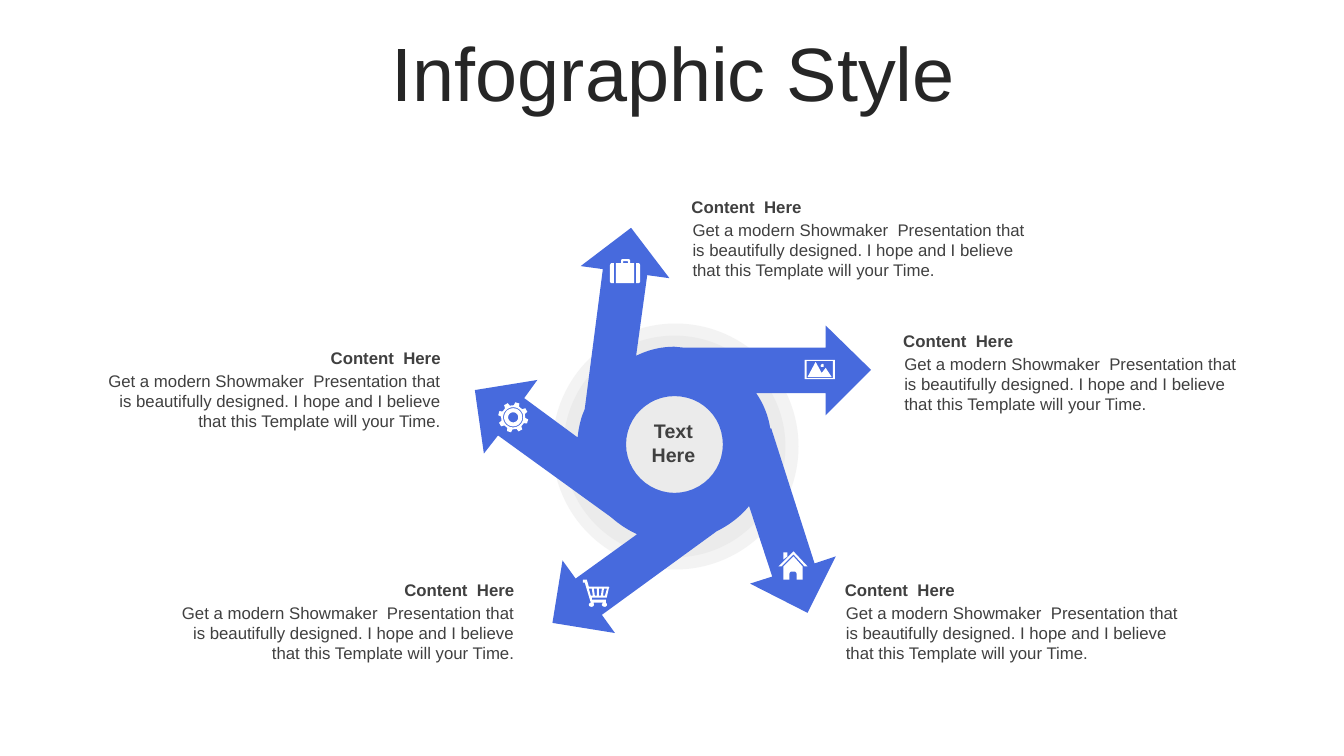
from math import cos, sin, radians
from lxml.etree import SubElement
from pptx import Presentation
from pptx.dml.color import RGBColor
from pptx.enum.shapes import MSO_SHAPE
from pptx.enum.text import MSO_ANCHOR, MSO_AUTO_SIZE, PP_ALIGN
from pptx.oxml.ns import qn
from pptx.util import Inches, Pt

deck = Presentation()
deck.slide_width, deck.slide_height = Inches(13.33), Inches(7.5)
slide = deck.slides.add_slide(deck.slide_layouts[5])
shapes = slide.shapes
hue = RGBColor.from_string


def write(shape, lines, align, anchor, font):
    """Fill a shape's text frame, one paragraph per line."""
    frame = shape.text_frame
    frame.word_wrap = True
    frame.vertical_anchor = anchor
    frame.text = "\n".join(lines)
    for para in frame.paragraphs:
        para.alignment = align
        para.font.color.rgb = hue(font["color"])
        for key, value in font["look"].items():
            setattr(para.font, key, value)
    return frame


def draw(outline, color):
    """Draw contours split by Z; C starts a curve with three points."""
    pen = None
    for part in outline.split("Z"):
        marks, dots = iter(part.split()), []
        for mark in marks:
            if mark != "C":
                dots.append(tuple(float(n) for n in mark.split(",")))
                continue
            a = dots[-1]
            b, c, d = [tuple(float(n) for n in next(marks).split(",")) for _ in range(3)]
            for step in range(1, 13):
                t = step / 12
                u = 1 - t
                dots.append(tuple(u**3 * p + 3 * u * u * t * q + 3 * u * t * t * r + t**3 * s
                                  for p, q, r, s in zip(a, b, c, d)))
        spots = [(Inches(x), Inches(y)) for x, y in dots]
        if pen is None:
            pen = shapes.build_freeform(*spots[0], scale=1.0)
        else:
            pen.move_to(*spots[0])
        pen.add_line_segments(spots[1:], close=True)
    shape = pen.convert_to_shape()
    shape.shadow.inherit = False
    shape.fill.solid()
    shape.fill.fore_color.rgb = hue(color)
    shape.line.fill.background()


# Text styles
base = {"name": "Arial", "size": Pt(12), "bold": False}
title_font = {"color": "262626", "look": base | {"size": Pt(54)}}
head_font = {"color": "404040", "look": base | {"bold": True}}
body_font = {"color": "404040", "look": base}
hub_font = {"color": "404040", "look": base | {"size": Pt(14), "bold": True}}

# Title
title = shapes.title
title.left, title.top = Inches(0.35), Inches(0.37)
title.width, title.height = Inches(12.66), Inches(0.79)
frame = write(title, ["Infographic Style"], PP_ALIGN.CENTER, MSO_ANCHOR.MIDDLE, title_font)
frame.auto_size = MSO_AUTO_SIZE.NONE
frame.paragraphs[0].line_spacing = 0.9

# Pale discs behind the wheel
for left, top, size in [(5.48, 3.21, 2.44), (5.59, 3.33, 2.2)]:
    disc = shapes.add_shape(MSO_SHAPE.OVAL, Inches(left), Inches(top), Inches(size), Inches(size))
    disc.shadow.inherit = False
    disc.fill.solid()
    disc.fill.fore_color.rgb = hue("D9D9D9")
    disc.line.fill.background()
    tint = disc.fill._xPr.find(qn("a:solidFill"))[0]
    SubElement(tint, qn("a:alpha")).set("val", "30000")

# Wheel of five arrows, with a round hole
draw("""6.69,3.93 C 6.43,3.93 6.21,4.14 6.21,4.41 C 6.21,4.67 6.43,4.89 6.69,4.89
    C 6.96,4.89 7.17,4.67 7.17,4.41 C 7.17,4.14 6.96,3.93 6.69,3.93 Z
    6.26,2.26 6.64,2.76 6.42,2.73 6.31,3.53 C 6.43,3.47 6.56,3.44 6.69,3.44
    6.79,3.45 8.19,3.45 8.19,3.23 8.64,3.67 8.19,4.12 8.19,3.9 7.5,3.9
    C 7.57,4 7.62,4.12 7.64,4.25 7.65,4.25 8.08,5.59 8.29,5.52 8.01,6.08
    7.44,5.79 7.66,5.72 7.43,5.02 C 7.34,5.13 7.23,5.21 7.11,5.27
    5.97,6.1 6.1,6.28 5.48,6.18 5.58,5.56 5.71,5.74 6.32,5.3
    C 6.23,5.26 6.14,5.2 6.06,5.13 4.94,4.32 4.8,4.5 4.71,3.87 5.33,3.77
    5.2,3.95 5.73,4.34 C 5.74,4.24 5.76,4.15 5.8,4.06 5.98,2.67 5.76,2.64""", "476ADD")

# Hub label
hub = shapes.add_textbox(Inches(6.21), Inches(4.11), Inches(0.94), Inches(0.57))
write(hub, ["Text", "Here"], PP_ALIGN.CENTER, MSO_ANCHOR.TOP, hub_font)

# Captions: a heading over a body text
body = ("Get a modern Showmaker  Presentation that is beautifully designed. "
        "I hope and I believe that this Template will your Time.")
for left, top, align in [(1.58, 5.7, PP_ALIGN.RIGHT), (0.85, 3.4, PP_ALIGN.RIGHT),
                         (6.76, 1.9, PP_ALIGN.LEFT), (8.86, 3.23, PP_ALIGN.LEFT),
                         (8.28, 5.7, PP_ALIGN.LEFT)]:
    head = shapes.add_textbox(Inches(left), Inches(top), Inches(3.62), Inches(0.3))
    write(head, ["Content  Here"], align, MSO_ANCHOR.MIDDLE, head_font)
    note = shapes.add_textbox(Inches(left + 0.01), Inches(top + 0.23), Inches(3.61), Inches(0.71))
    write(note, [body], align, MSO_ANCHOR.TOP, body_font)

# Icons: cart, house, photo, case
cart = """5.99,5.84 5.98,5.91 6,5.91 6.02,5.84 Z 5.94,5.84 5.94,5.91 5.96,5.91 5.97,5.84 Z
    5.89,5.84 5.9,5.91 5.92,5.91 5.92,5.84 Z 5.84,5.84 5.86,5.91 5.88,5.91 5.87,5.84 Z
    5.82,5.75 5.84,5.82 6.03,5.82 C 6.04,5.82 6.05,5.83 6.04,5.83 6.02,5.92
    C 6.02,5.93 6.01,5.93 6.01,5.93 5.87,5.93 5.87,5.95 6.01,5.95 6.01,5.98
    C 6.01,5.98 6.02,5.99 6.02,6 C 6.02,6.01 6.01,6.02 6,6.02
    C 5.98,6.02 5.97,6.01 5.97,6 C 5.97,5.99 5.98,5.98 5.99,5.98 5.88,5.98
    C 5.89,5.98 5.89,5.99 5.89,6 C 5.89,6.01 5.88,6.02 5.87,6.02
    C 5.85,6.02 5.84,6.01 5.84,6 C 5.84,5.99 5.85,5.98 5.86,5.98
    5.8,5.78 5.78,5.78 5.78,5.75 5.81,5.75"""
house = """7.87,5.52 7.96,5.62 7.96,5.75 7.9,5.75 7.9,5.69 C 7.9,5.68 7.89,5.67 7.88,5.67
    7.85,5.67 C 7.84,5.67 7.83,5.68 7.83,5.69 7.83,5.75 7.77,5.75 7.77,5.62 Z
    7.77,5.48 7.81,5.48 7.81,5.52 7.77,5.55 Z
    7.87,5.47 8.01,5.62 7.98,5.62 7.87,5.5 7.75,5.62 7.72,5.62"""
photo = """8.16,3.61 C 8.17,3.61 8.17,3.62 8.17,3.63 C 8.17,3.64 8.17,3.64 8.16,3.64
    C 8.15,3.64 8.14,3.64 8.14,3.63 C 8.14,3.62 8.15,3.61 8.16,3.61 Z
    8.09,3.59 8.15,3.7 8.19,3.65 8.25,3.74 8.01,3.74 Z
    8,3.58 8,3.75 8.26,3.75 8.26,3.58 Z 7.98,3.57 8.28,3.57 8.28,3.76 7.98,3.76"""
case = """6.31,2.61 6.33,2.61 C 6.34,2.61 6.35,2.62 6.35,2.64 6.35,2.79
    C 6.35,2.8 6.34,2.81 6.33,2.81 6.31,2.81 Z
    6.07,2.61 6.09,2.61 6.09,2.81 6.07,2.81 C 6.06,2.81 6.05,2.8 6.05,2.79
    6.05,2.64 C 6.05,2.62 6.06,2.61 6.07,2.61 Z
    6.19,2.59 C 6.18,2.59 6.18,2.59 6.18,2.6 6.18,2.61 6.23,2.61 6.23,2.6
    C 6.23,2.59 6.22,2.59 6.22,2.59 Z
    6.17,2.57 6.23,2.57 C 6.24,2.57 6.25,2.58 6.25,2.58 6.25,2.61 6.29,2.61
    6.29,2.81 6.11,2.81 6.11,2.61 6.16,2.61 6.16,2.58 C 6.16,2.58 6.17,2.57 6.17,2.57"""

# Gear: eight teeth around three rings
teeth = [(45 * k - 74 + turn, reach) for k in range(8)
         for turn, reach in [(-13, 0.12), (-8, 0.15), (8, 0.15), (13, 0.12)]]
rings = [[(turn, reach) for turn in range(0, 360, 10)] for reach in (0.1, 0.09, 0.05)]
gear = "Z".join(" ".join(f"{5.09 + reach * cos(radians(turn))},{4.14 + reach * sin(radians(turn))}"
                         for turn, reach in loop) for loop in [teeth] + rings)

for icon in (cart, house, photo, case, gear):
    draw(icon, "FFFFFF")

deck.save("out.pptx")
